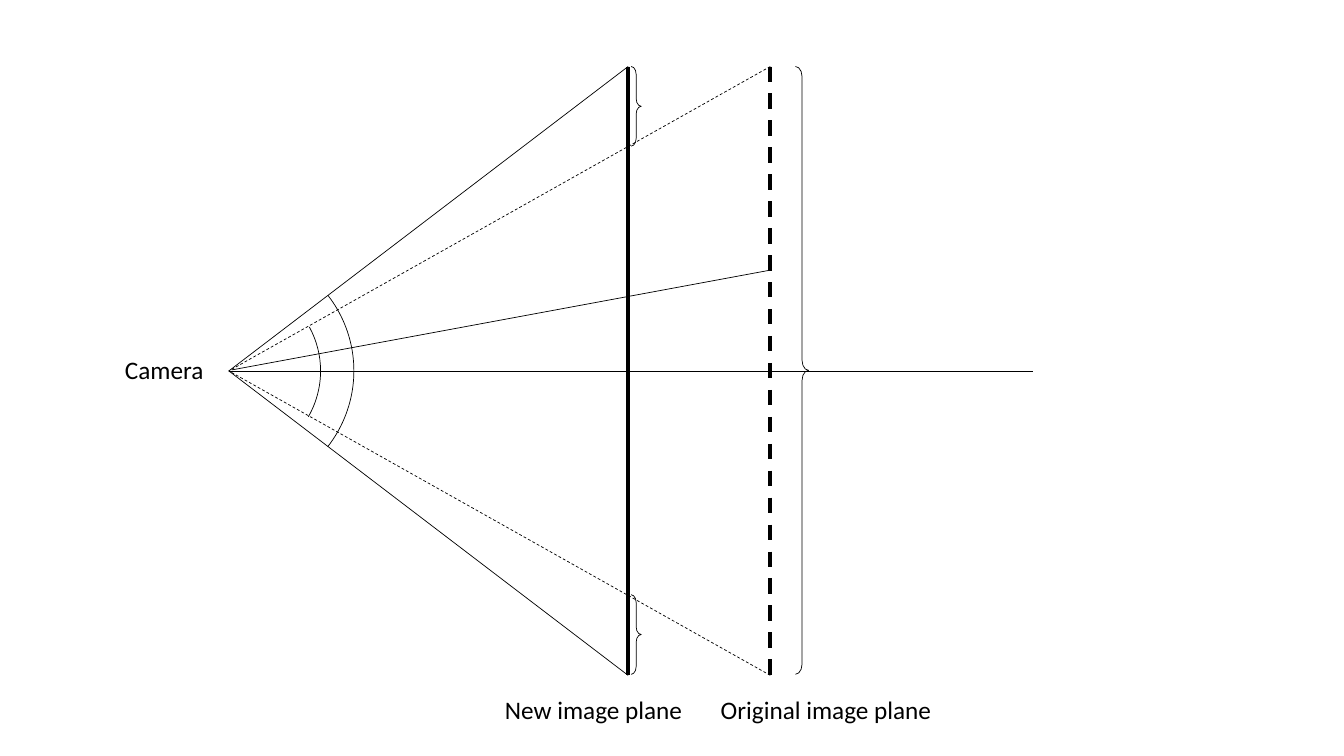
from pptx import Presentation
from pptx.dml.color import RGBColor
from pptx.enum.dml import MSO_LINE
from pptx.enum.shapes import MSO_CONNECTOR, MSO_SHAPE
from pptx.enum.text import MSO_AUTO_SIZE
from pptx.oxml.ns import qn
from pptx.util import Inches, Pt
from lxml import etree

STRAIGHT = MSO_CONNECTOR.STRAIGHT
ARC, RIGHT_BRACE = MSO_SHAPE.ARC, MSO_SHAPE.RIGHT_BRACE
DASH = MSO_LINE.DASH
FIT_SHAPE = MSO_AUTO_SIZE.SHAPE_TO_FIT_TEXT

COLORS = {"ink": "000000"}
FONT = "Calibri"
THIN, THICK = 0.5, 2.75

# Content: geometry in inches
CAMERA = (2.27, 3.68)
TOP, BOTTOM = 0.66, 6.7
NEW_X, ORIGINAL_X = 6.23, 7.64
AXIS_END = (10.25, CAMERA[1])
SAMPLE_RAY = ((ORIGINAL_X, 2.68), (2.3, 3.67))
PLANES = [(ORIGINAL_X, DASH), (NEW_X, None)]  # x, dash style
VIEW_ARCS = [  # centre x, radius, start angle, end angle
    (2.27, 0.91, 331.39, 29.94),
    (2.29, 1.22, 322.13, 38.03),
]
BRACES = [  # left, top, width, height
    (6.26, TOP, 0.1, 0.79),
    (6.26, 5.9, 0.1, 0.79),
    (7.89, TOP, 0.13, 6.03),
]
LABELS = [  # text, left, top, width
    ("Camera", 1.14, 3.47, 0.99),
    ("Original image plane", 7.05, 6.84, 2.31),
    ("New image plane", 4.91, 6.84, 1.99),
]

presentation = Presentation()
presentation.slide_width, presentation.slide_height = Inches(13.33), Inches(7.5)
slide = presentation.slides.add_slide(presentation.slide_layouts[6])


def ink(line, width=THIN, dash=None):
    line.color.rgb = RGBColor.from_string(COLORS["ink"])
    line.width = Pt(width)
    if dash:
        line.dash_style = dash


def add_line(start, end, width=THIN, dash=None):
    points = [Inches(value) for value in (*start, *end)]
    connector = slide.shapes.add_connector(STRAIGHT, *points)
    ink(connector.line, width, dash)
    etree.SubElement(connector._element.spPr, qn("a:effectLst"))


def add_outline(kind, box, adjustments):
    shape = slide.shapes.add_shape(kind, *[Inches(value) for value in box])
    shape.shadow.inherit = False
    shape.fill.background()
    ink(shape.line)
    for index, value in enumerate(adjustments):
        shape.adjustments[index] = value


# Optical axis
add_line(CAMERA, AXIS_END)

# Image planes, each with the two edge rays of its field of view
for x, dash in PLANES:
    add_line((x, TOP), (x, BOTTOM), THICK, dash)
    for y in (TOP, BOTTOM):
        add_line((x, y), CAMERA, THIN, dash)
add_line(*SAMPLE_RAY)

# Field-of-view arcs: an adjustment unit is 100000/60000 degrees
for center_x, radius, start, end in VIEW_ARCS:
    box = (center_x - radius, CAMERA[1] - radius, 2 * radius, 2 * radius)
    add_outline(ARC, box, (start * 0.6, end * 0.6))

# Braces beside the planes
for box in BRACES:
    add_outline(RIGHT_BRACE, box, (0.77, 0.5))

# Labels
for text, left, top, width in LABELS:
    label = slide.shapes.add_textbox(
        Inches(left), Inches(top), Inches(width), Inches(0.4))
    text_frame = label.text_frame
    text_frame.word_wrap = False
    text_frame.auto_size = FIT_SHAPE
    text_frame.text = text
    font = text_frame.paragraphs[0].runs[0].font
    font.name, font.size = FONT, Pt(18)
    font.color.rgb = RGBColor.from_string(COLORS["ink"])

presentation.save("out.pptx")
